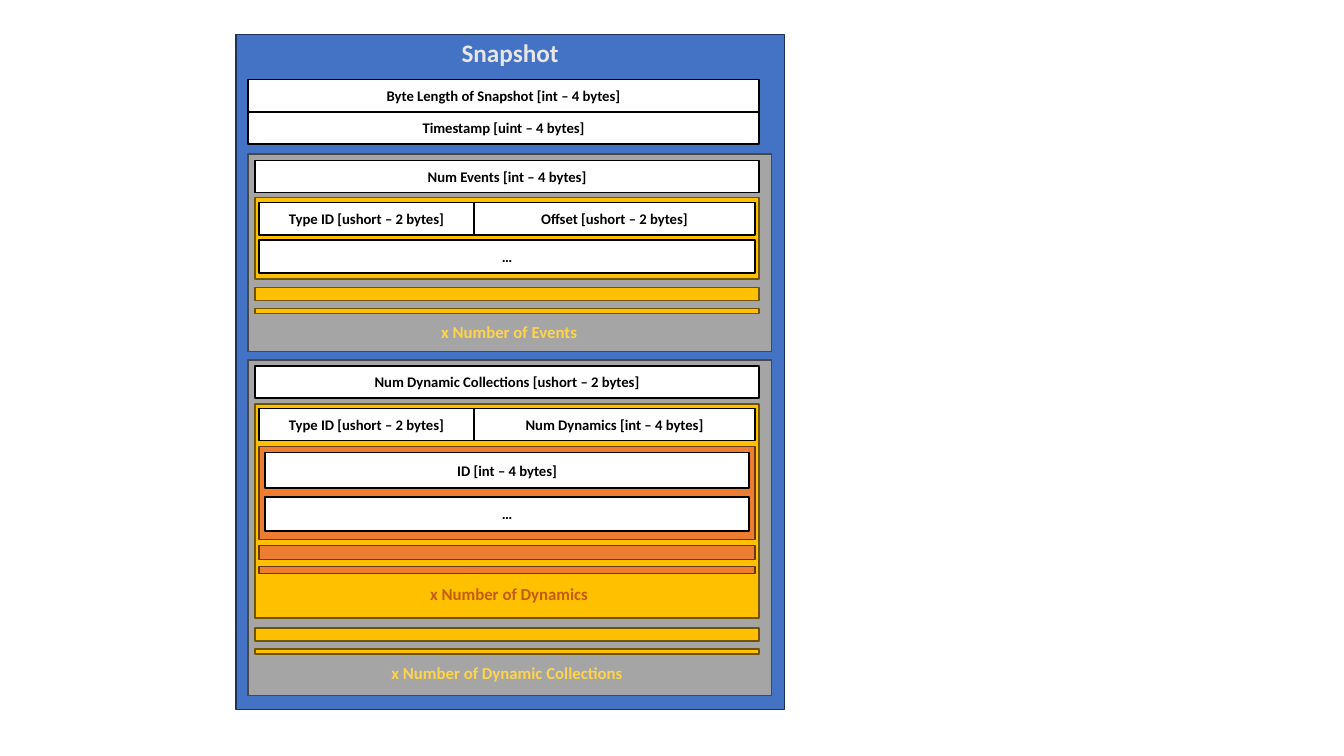
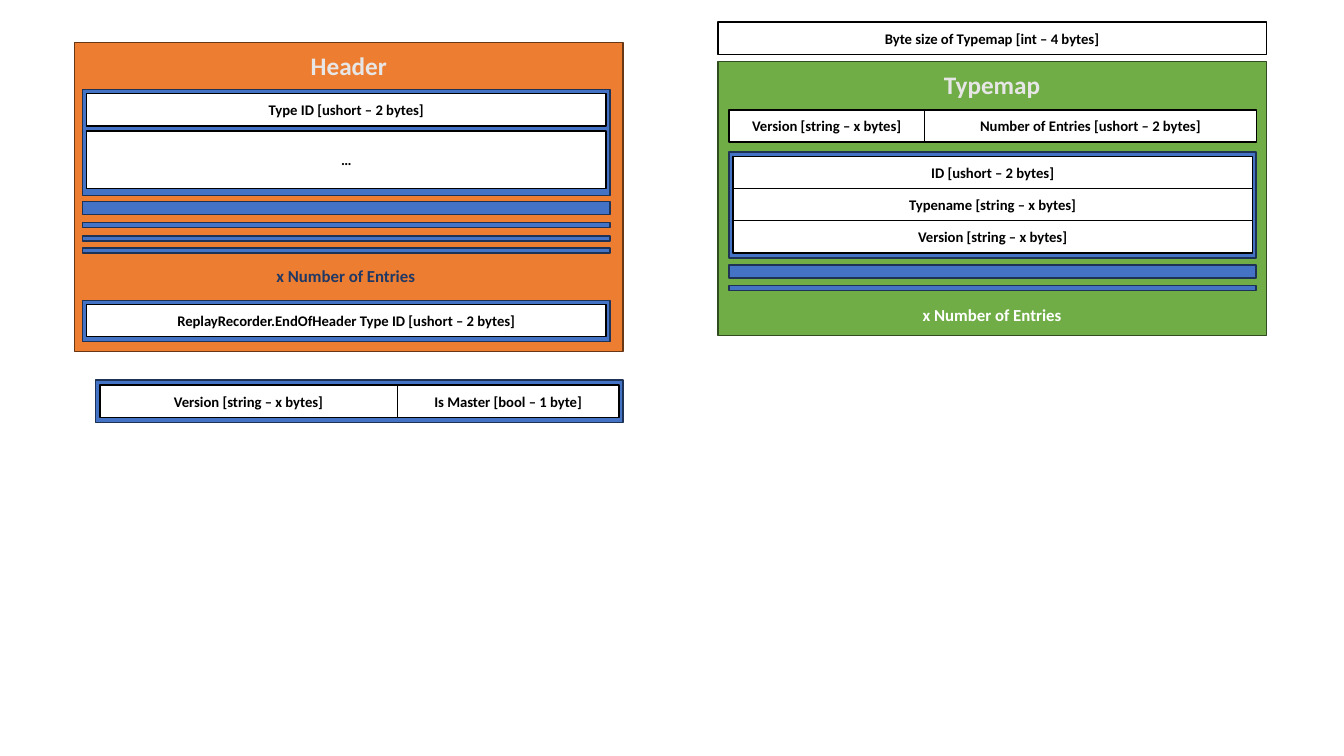
from dataclasses import dataclass
from typing import NamedTuple

from pptx import Presentation
from pptx import util as u
from pptx.dml.color import RGBColor
from pptx.enum import shapes, text

PX = 9144  # EMU per px, 100 px to the inch
FONT = "Calibri"

# Colours
WHITE = RGBColor(0xFF, 0xFF, 0xFF)
BLACK = RGBColor(0x00, 0x00, 0x00)
PALE = RGBColor(0xE7, 0xE6, 0xE6)
YELLOW = RGBColor(0xFF, 0xD4, 0x4B)
RUST = RGBColor(0xC5, 0x5A, 0x11)
NAVY = RGBColor(0x20, 0x38, 0x64)


class Paint(NamedTuple):
    fill: RGBColor
    line: RGBColor


PLAIN = Paint(WHITE, BLACK)
BLUE = Paint(RGBColor(0x44, 0x72, 0xC4), RGBColor(0x1E, 0x32, 0x56))
GREY = Paint(RGBColor(0xA5, 0xA5, 0xA5), RGBColor(0x48, 0x48, 0x48))
GOLD = Paint(RGBColor(0xFF, 0xC0, 0x00), RGBColor(0x70, 0x54, 0x00))
ORANGE = Paint(RGBColor(0xED, 0x7D, 0x31), RGBColor(0x68, 0x37, 0x15))
GREEN = Paint(RGBColor(0x70, 0xAD, 0x47), RGBColor(0x31, 0x4C, 0x1F))

# Shared sizes in px
PANEL = 544
ROW = 32
LABEL = 290


@dataclass
class Panel:
    """Large titled frame."""
    title: str
    x: int
    y: int
    h: int
    paint: Paint
    drop: int = 3  # from frame top to title top


@dataclass
class Group:
    """Coloured bands of one left edge and width, as (top, height) pairs."""
    x: int
    w: int
    paint: Paint
    bands: list[tuple[int, int]]


@dataclass
class Row:
    """White fields side by side, as (text, width) pairs."""
    x: int
    y: int
    cells: list[tuple[str, int]]
    h: int = ROW


@dataclass
class Stack:
    """White rows of one width, one under the other."""
    x: int
    y: int
    w: int
    names: list[str]


@dataclass
class Note:
    """Repeat count, centred on mid."""
    words: str
    mid: int
    y: int
    color: RGBColor


Part = Panel | Group | Row | Stack | Note


def write(frame, words: str, *, size: float = 10.5,
          color: RGBColor = BLACK) -> None:
    frame.word_wrap = True
    para = frame.paragraphs[0]
    para.alignment = text.PP_ALIGN.CENTER
    run = para.add_run()
    run.text = words
    font = run.font
    font.name, font.size, font.bold = FONT, u.Pt(size), True
    font.color.rgb = color


def box(slide, x: int, y: int, w: int, h: int, paint: Paint,
        words: str = "") -> None:
    shape = slide.shapes.add_shape(
        shapes.MSO_SHAPE.RECTANGLE, x * PX, y * PX, w * PX, h * PX)
    shape.shadow.inherit = False
    shape.fill.solid()
    shape.fill.fore_color.rgb = paint.fill
    shape.line.color.rgb = paint.line
    shape.line.width = u.Pt(1)
    if words:
        shape.text_frame.vertical_anchor = text.MSO_ANCHOR.MIDDLE
        write(shape.text_frame, words)


def label(slide, words: str, mid: int, y: int, h: int, *,
          size: float, color: RGBColor) -> None:
    area = slide.shapes.add_textbox(
        (mid - LABEL // 2) * PX, y * PX, LABEL * PX, h * PX)
    area.text_frame.auto_size = text.MSO_AUTO_SIZE.SHAPE_TO_FIT_TEXT
    write(area.text_frame, words, size=size, color=color)


def draw(slide, part: Part) -> None:
    match part:
        case Panel(title, x, y, h, paint, drop):
            box(slide, x, y, PANEL, h, paint)
            label(slide, title, x + PANEL // 2, y + drop, 40,
                  size=18, color=PALE)
        case Group(x, w, paint, bands):
            for y, h in bands:
                box(slide, x, y, w, h, paint)
        case Row(x, y, cells, h):
            for words, w in cells:
                box(slide, x, y, w, h, PLAIN, words)
                x += w
        case Stack(x, y, w, names):
            for i, words in enumerate(names):
                box(slide, x, y + i * ROW, w, ROW, PLAIN, words)
        case Note(words, mid, y, color):
            label(slide, words, mid, y, 30, size=12, color=color)


TYPE_ID = "Type ID [ushort – 2 bytes]"
VERSION = "Version [string – x bytes]"
ENTRIES = "x Number of Entries"

SNAPSHOT: list[Part] = [
    Panel("Snapshot", 234, 34, 670, BLUE, drop=-2),
    Stack(246, 79, 507, ["Byte Length of Snapshot [int – 4 bytes]",
                         "Timestamp [uint – 4 bytes]"]),
    Group(246, 519, GREY, [(153, 196), (357, 333)]),
    # Events
    Row(253, 159, [("Num Events [int – 4 bytes]", 500)]),
    Group(253, 500, GOLD, [(196, 81), (285, 13), (306, 5)]),
    Row(257, 201, [(TYPE_ID, 213), ("Offset [ushort – 2 bytes]", 279)]),
    Row(257, 238, [("…", 492)], h=33),
    Note("x Number of Events", 505, 314, YELLOW),
    # Dynamic collections
    Row(253, 363, [("Num Dynamic Collections [ushort – 2 bytes]", 500)]),
    Group(253, 500, GOLD, [(401, 212), (623, 13), (644, 5)]),
    Row(257, 405, [(TYPE_ID, 213), ("Num Dynamics [int – 4 bytes]", 279)]),
    Group(257, 492, ORANGE, [(443, 92), (541, 14), (562, 7)]),
    Row(263, 449, [("ID [int – 4 bytes]", 480)], h=35),
    Row(263, 493, [("…", 480)], h=34),
    Note("x Number of Dynamics", 505, 574, RUST),
    Note("x Number of Dynamic Collections", 503, 653, YELLOW),
]

HEADER: list[Part] = [
    Panel("Header", 74, 42, 307, ORANGE),
    Group(82, 523, BLUE, [(89, 105), (200, 13), (221, 5), (234, 5),
                          (246, 5), (298, 41)]),
    Row(86, 93, [(TYPE_ID, 515)]),
    Row(86, 130, [("…", 515)], h=57),
    Note(ENTRIES, 343, 259, NAVY),
    Row(86, 302, [("ReplayRecorder.EndOfHeader Type ID [ushort – 2 bytes]",
                   515)]),
    # Version strip
    Group(95, 523, BLUE, [(377, 42)]),
    Row(99, 382, [(VERSION, 295), ("Is Master [bool – 1 byte]", 220)]),
]

TYPEMAP: list[Part] = [
    Row(712, 22, [("Byte size of Typemap [int – 4 bytes]", PANEL)]),
    Panel("Typemap", 712, 61, 272, GREEN),
    Row(723, 109, [(VERSION, 194),
                   ("Number of Entries [ushort – 2 bytes]", 329)]),
    Group(723, 523, BLUE, [(151, 105), (263, 13), (283, 5)]),
    Stack(727, 155, 515, ["ID [ushort – 2 bytes]",
                          "Typename [string – x bytes]", VERSION]),
    Note(ENTRIES, 984, 297, WHITE),
]


def main() -> None:
    deck = Presentation()
    deck.slide_width, deck.slide_height = 1333 * PX, 750 * PX
    for parts in (SNAPSHOT, HEADER + TYPEMAP):
        slide = deck.slides.add_slide(deck.slide_layouts[6])
        for part in parts:
            draw(slide, part)
    deck.save("out.pptx")


if __name__ == "__main__":
    main()
